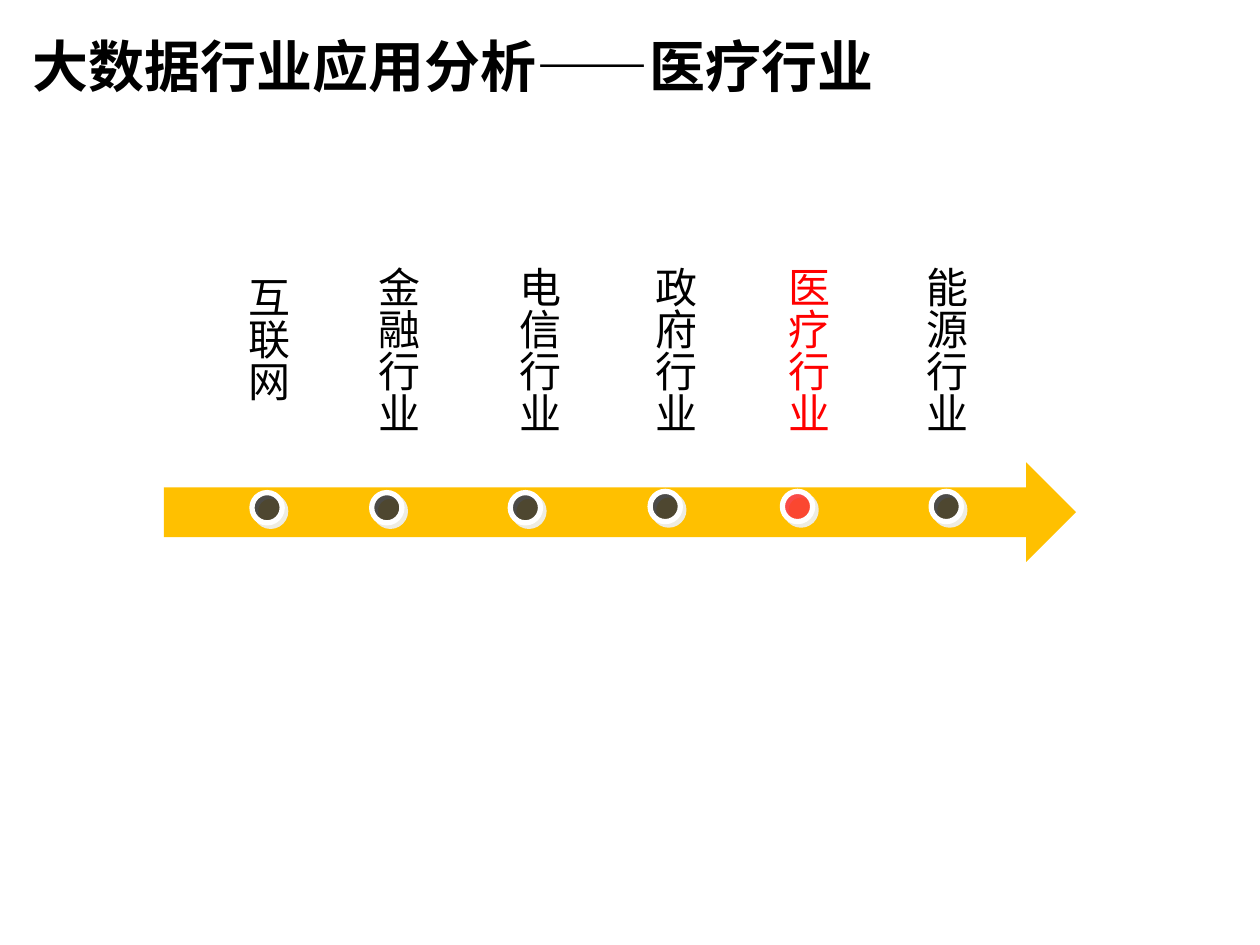
from lxml.etree import SubElement
from pptx import Presentation
from pptx.dml.color import RGBColor
from pptx.enum.shapes import MSO_SHAPE as SHAPE
from pptx.enum.text import MSO_ANCHOR as ANCHOR, MSO_AUTO_SIZE as AUTO_SIZE, PP_ALIGN as ALIGN
from pptx.oxml.ns import qn
from pptx.util import Inches, Pt

HEADING = "大数据行业应用分析——医疗行业"
BLACK, RED, WHITE, AMBER, SHADE = "000000", "FF0000", "FFFFFF", "FFC000", "EEECE1"
INDUSTRIES = [
    ("互联网", BLACK, (1.77, 2.1, 1.65), (2, 3.91)),
    ("金融行业", BLACK, (2.8, 2.02, 1.65), (2.95, 3.91)),
    ("电信行业", BLACK, (3.92, 2.02, 1.65), (4.05, 3.91)),
    ("政府行业", BLACK, (5, 2.02, 1.89), (5.16, 3.9)),
    ("医疗行业", RED, (6.05, 2.02, 1.89), (6.21, 3.9)),
    ("能源行业", BLACK, (7.15, 2.02, 1.65), (7.39, 3.9)),
]
LABEL_WIDTH, DOT_SIZE = 0.61, 0.24


def rgb(code):
    return RGBColor.from_string(code)


def box(left, top, width, height):
    return [Inches(v) for v in (left, top, width, height)]


def set_font(paragraph, color, **values):
    for key, value in values.items():
        setattr(paragraph.font, key, value)
    paragraph.font.color.rgb = rgb(color)


def add_filled(slide, kind, place, color):
    filled = slide.shapes.add_shape(kind, *box(*place))
    filled.shadow.inherit = False
    filled.fill.solid()
    filled.fill.fore_color.rgb = rgb(color)
    filled.line.fill.background()
    return filled


def add_dot(slide, left, top, color):
    dot = add_filled(slide, SHAPE.OVAL, (left, top, DOT_SIZE, DOT_SIZE), color)
    dot.line.color.rgb = rgb(WHITE)
    dot.line.width = Pt(3)
    properties = dot.element.spPr
    fill_color = properties.find(qn("a:solidFill")).find(qn("a:srgbClr"))
    SubElement(fill_color, qn("a:alpha"), val="68000")
    shadow = SubElement(properties.find(qn("a:effectLst")), qn("a:outerShdw"),
                        blurRad="0", dist=str(Pt(2.8)), dir=str(45 * 60000),
                        algn="ctr", rotWithShape="0")
    SubElement(shadow, qn("a:srgbClr"), val=SHADE)


def add_label(slide, text, color, left, top, height):
    frame = slide.shapes.add_textbox(*box(left, top, LABEL_WIDTH, height)).text_frame
    frame.word_wrap = True
    frame.auto_size = AUTO_SIZE.SHAPE_TO_FIT_TEXT
    frame._txBody.bodyPr.set("vert", "eaVert")
    label = frame.paragraphs[0]
    label.text = text
    set_font(label, color, name="Noto Sans CJK SC", size=Pt(24))
    run_font = label.runs[0]._r.get_or_add_rPr()
    SubElement(run_font, qn("a:ea"), typeface="Noto Sans CJK SC")


def main():
    deck = Presentation()
    deck.slide_width, deck.slide_height = Inches(10), Inches(7.5)
    slide = deck.slides.add_slide(deck.slide_layouts[5])

    title = slide.shapes.title
    title.left, title.top, title.width, title.height = box(0.16, 0.13, 9, 0.78)
    title.text_frame.text = HEADING
    title.text_frame.vertical_anchor = ANCHOR.MIDDLE
    heading = title.text_frame.paragraphs[0]
    heading.alignment = ALIGN.LEFT
    set_font(heading, BLACK, name="Calibri", size=Pt(32), bold=True)

    add_filled(slide, SHAPE.RIGHT_ARROW, (1.3, 3.67, 7.24, 0.79), AMBER)
    for text, color, label_place, dot_place in INDUSTRIES:
        add_dot(slide, *dot_place, color)
        add_label(slide, text, color, *label_place)

    deck.save("out.pptx")


if __name__ == "__main__":
    main()
